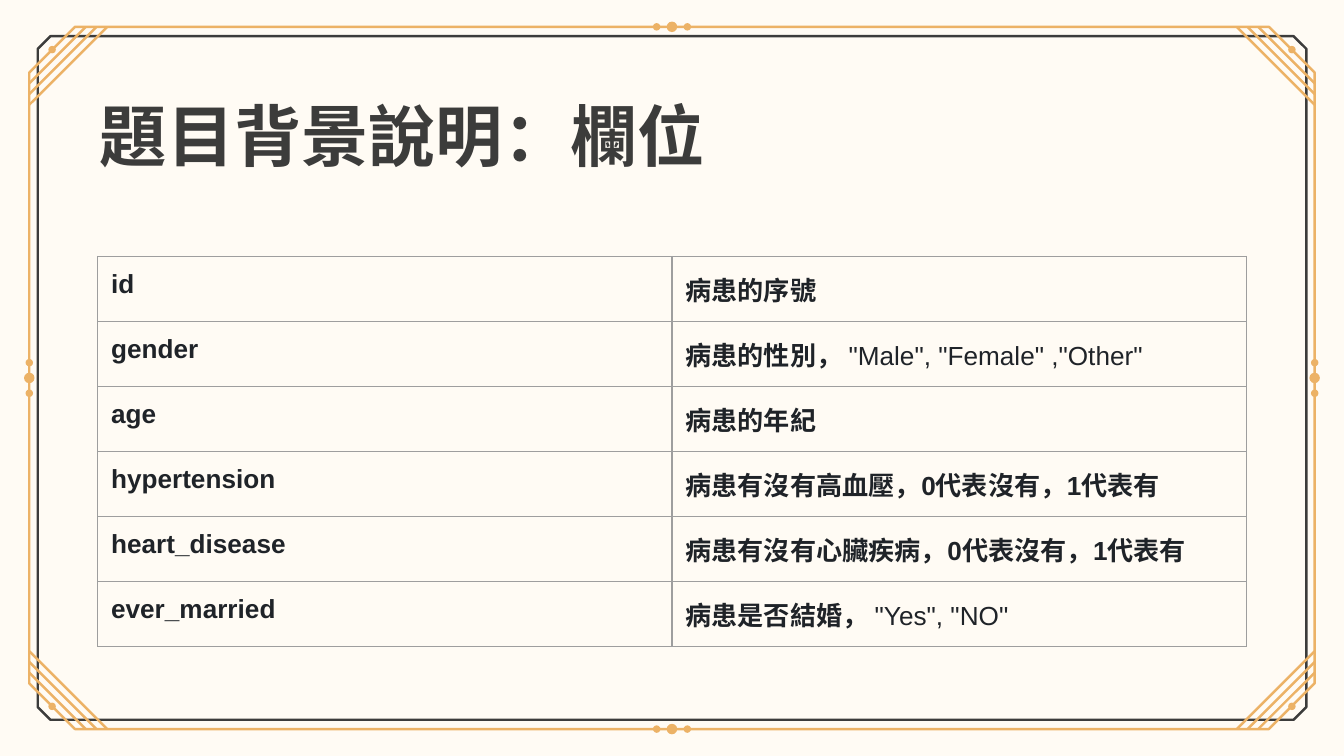
from collections import namedtuple

from lxml.etree import SubElement
from pptx import Presentation
from pptx.dml.color import RGBColor
from pptx.enum.shapes import MSO_CONNECTOR as Connector, MSO_SHAPE as Shape
from pptx.enum.text import MSO_ANCHOR as Anchor, MSO_AUTO_SIZE as AutoSize, PP_ALIGN as Align
from pptx.oxml.ns import qn
from pptx.util import Pt

Box = namedtuple("Box", "left top width height")

CREAM, CHARCOAL, GOLD = "FFFBF4", "3C3C3B", "ECB266"
INK, GREY = "1F2328", "9E9E9E"
LINE_WIDTH = 1.3
INSET = 7.2
CORNER_CUT, STRIPE_GAP = 24.5, 5.75

# Each description is a bold part and a regular part.
FIELDS = [
    ("id", "病患的序號", ""),
    ("gender", "病患的性別，", ' "Male", "Female" ,"Other"'),
    ("age", "病患的年紀", ""),
    ("hypertension", "病患有沒有高血壓，0代表沒有，1代表有", ""),
    ("heart_disease", "病患有沒有心臟疾病，0代表沒有，1代表有", ""),
    ("ever_married", "病患是否結婚，", ' "Yes", "NO"'),
]


def color(hex_string):
    return RGBColor.from_string(hex_string)


def add_span(para, text, font, size, hex_string, bold=True):
    span = para.add_run()
    span.text = text
    span.font.name = font
    span.font.size = Pt(size)
    span.font.bold = bold
    span.font.color.rgb = color(hex_string)


def set_insets(target):
    target.margin_left = target.margin_right = Pt(INSET)
    target.margin_top = target.margin_bottom = Pt(INSET)


def style_line(line, hex_string):
    line.color.rgb = color(hex_string)
    line.width = Pt(LINE_WIDTH)


def add_cut_outline(page, box, cut, hex_string):
    """Outline a box whose four corners are cut off at 45 degrees."""
    left, top, width, height = box
    right, bottom = left + width, top + height
    points = [
        (left + cut, top), (right - cut, top),
        (right, top + cut), (right, bottom - cut),
        (right - cut, bottom), (left + cut, bottom),
        (left, bottom - cut), (left, top + cut),
    ]
    points = [(Pt(x), Pt(y)) for x, y in points]
    builder = page.shapes.build_freeform(*points[0])
    builder.add_line_segments(points[1:], close=True)
    outline = builder.convert_to_shape()
    outline.shadow.inherit = False
    outline.fill.background()
    style_line(outline.line, hex_string)


def add_dot(page, x, y, size):
    dot = page.shapes.add_shape(
        Shape.OVAL, Pt(x - size / 2), Pt(y - size / 2), Pt(size), Pt(size))
    dot.shadow.inherit = False
    dot.fill.solid()
    dot.fill.fore_color.rgb = color(GOLD)
    dot.line.fill.background()


def add_corner(page, x, y, toward_x, toward_y):
    """Stripes and a dot at a corner; toward_x and toward_y point inward."""
    for step in range(1, 4):
        reach = CORNER_CUT + step * STRIPE_GAP
        stripe = page.shapes.add_connector(
            Connector.STRAIGHT, Pt(x + toward_x * reach), Pt(y),
            Pt(x), Pt(y + toward_y * reach))
        style_line(stripe.line, GOLD)
        SubElement(stripe._element.spPr, qn("a:effectLst"))
    add_dot(page, x + toward_x * 12.2, y + toward_y * 12.2, 4)


def add_frame(page, box):
    left, top, width, height = box
    right, bottom = left + width, top + height
    middle_x, middle_y = left + width / 2, top + height / 2
    inner = Box(left + 4.5, top + 5, width - 9, height - 10)
    add_cut_outline(page, inner, 6.8, CHARCOAL)
    add_cut_outline(page, box, CORNER_CUT, GOLD)
    for x, toward_x in ((left, 1), (right, -1)):
        for y, toward_y in ((top, 1), (bottom, -1)):
            add_corner(page, x, y, toward_x, toward_y)
    for shift, size in ((-8.2, 4), (0, 5.6), (8.2, 4)):
        for y in (top, bottom):
            add_dot(page, middle_x + shift, y, size)
        for x in (left, right):
            add_dot(page, x, middle_y + shift, size)


def add_title(page, box, text):
    title = page.shapes.title
    title.left, title.top, title.width, title.height = map(Pt, box)
    frame = title.text_frame
    frame.auto_size = AutoSize.NONE
    frame.word_wrap = True
    frame.vertical_anchor = Anchor.MIDDLE
    set_insets(frame)
    para = frame.paragraphs[0]
    para.alignment = Align.CENTER
    add_span(para, text, "Lato", 36, CHARCOAL)


def add_borders(cell):
    properties = cell._tc.get_or_add_tcPr()
    for index, side in enumerate(("lnL", "lnR", "lnT", "lnB")):
        border = properties.makeelement(qn(f"a:{side}"), {"w": str(Pt(0.75))})
        fill = SubElement(border, qn("a:solidFill"))
        SubElement(fill, qn("a:srgbClr"), val=GREY)
        properties.insert(index, border)


def fill_cell(cell, parts):
    """Write (text, bold) parts into a transparent, bordered cell."""
    cell.fill.background()
    add_borders(cell)
    set_insets(cell)
    cell.vertical_anchor = Anchor.TOP
    para = cell.text_frame.paragraphs[0]
    for text, bold in parts:
        if text:
            add_span(para, text, "Arial", 14, INK, bold)


def add_field_table(page, box, fields):
    table = page.shapes.add_table(len(fields), 2, *map(Pt, box)).table
    table.first_row = table.horz_banding = False
    for column in table.columns:
        column.width = Pt(box.width / 2)
    for row, (name, meaning, values) in zip(table.rows, fields):
        row.height = Pt(box.height / len(fields))
        fill_cell(row.cells[0], [(name, True)])
        fill_cell(row.cells[1], [(meaning, True), (values, False)])


def main():
    deck = Presentation()
    deck.slide_width, deck.slide_height = Pt(720), Pt(405)
    page = deck.slides.add_slide(deck.slide_layouts[5])
    page.background.fill.solid()
    page.background.fill.fore_color.rgb = color(CREAM)
    add_frame(page, Box(15.7, 14.4, 688.6, 376.2))
    add_title(page, Box(38, 39, 355, 66), "題目背景說明：欄位")
    add_field_table(page, Box(52.3, 137.4, 615.4, 208.8), FIELDS)
    deck.save("out.pptx")


if __name__ == "__main__":
    main()
